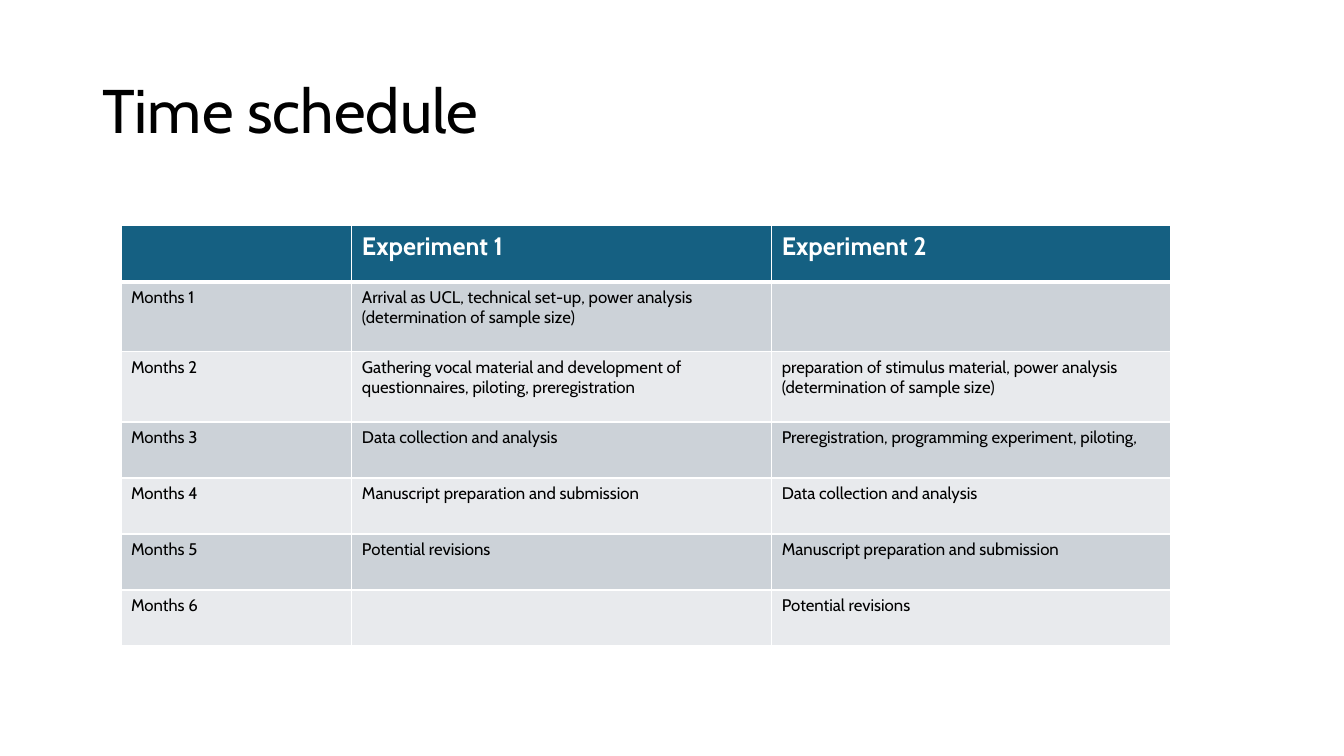
from dataclasses import dataclass

from lxml import etree
from pptx import Presentation
from pptx import util as u
from pptx.dml.color import RGBColor
from pptx.enum import text
from pptx.oxml import ns


@dataclass(frozen=True)
class Theme:
    font: str = "Cabin"
    ink: str = "000000"
    paper: str = "FFFFFF"
    header: str = "156082"
    bands: tuple = ("CCD2D8", "E8EAED")
    title_size: int = 44
    header_size: int = 18
    body_size: int = 12
    rule: int = 1
    header_rule: int = 3


THEME = Theme()
WIDTH, HEIGHT = 13.33, 7.5
TITLE_BOX = (0.92, 0.4, 11.5, 1.45)
TABLE_BOX = (1.2, 2.24, 10.41, 4.17)
COLUMN_SHARES = (0.22, 0.4, 0.38)
ROW_SHARES = (4, 5, 5, 4, 4, 4, 4)

SCHEDULE = [
    ("", "Experiment 1", "Experiment 2"),
    ("Months 1", "Arrival as UCL, technical set-up, power analysis (determination of sample size)", ""),
    ("Months 2", "Gathering vocal material and development of questionnaires, piloting, preregistration",
     "preparation of stimulus material, power analysis (determination of sample size)"),
    ("Months 3", "Data collection and analysis", "Preregistration, programming experiment, piloting,"),
    ("Months 4", "Manuscript preparation and submission", "Data collection and analysis"),
    ("Months 5", "Potential revisions", "Manuscript preparation and submission"),
    ("Months 6", "", "Potential revisions"),
]


def write(frame, words, size=THEME.body_size, color=THEME.ink, bold=False, spacing=1.0):
    para = frame.paragraphs[0]
    para.line_spacing = spacing
    para.font.size = u.Pt(size)
    if words:
        span = para.add_run()
        span.text = words
        span.font.name = THEME.font
        span.font.size = u.Pt(size)
        span.font.bold = bold
        span.font.color.rgb = RGBColor.from_string(color)


def set_borders(cell, **widths):
    """Draw the left, right, top and bottom rules; they precede the fill."""
    properties = cell._tc.get_or_add_tcPr()
    for place, side in enumerate("LRTB"):
        width = widths.get(side, THEME.rule)
        line = etree.Element(ns.qn(f"a:ln{side}"), w=str(u.Pt(width)))
        fill = etree.SubElement(line, ns.qn("a:solidFill"))
        etree.SubElement(fill, ns.qn("a:srgbClr"), val=THEME.paper)
        properties.insert(place, line)


def add_title(page, area, words):
    box = page.shapes.add_textbox(*map(u.Inches, area))
    box.text_frame.word_wrap = True
    box.text_frame.vertical_anchor = text.MSO_ANCHOR.MIDDLE
    write(box.text_frame, words, size=THEME.title_size, spacing=0.9)


def add_schedule(page, area, rows):
    left, top, width, height = map(u.Inches, area)
    table = page.shapes.add_table(len(rows), len(rows[0]), left, top, width, height).table

    # Grid
    for column, share in zip(table.columns, COLUMN_SHARES):
        column.width = int(width * share)
    for row, share in zip(table.rows, ROW_SHARES):
        row.height = int(height * share / sum(ROW_SHARES))

    # Header and banded body
    for r, entries in enumerate(rows):
        is_header = r == 0
        for c, words in enumerate(entries):
            cell = table.cell(r, c)
            shade = THEME.header if is_header else THEME.bands[(r - 1) % 2]
            cell.fill.solid()
            cell.fill.fore_color.rgb = RGBColor.from_string(shade)
            if is_header:
                set_borders(cell, B=THEME.header_rule)
                write(cell.text_frame, words, size=THEME.header_size, color=THEME.paper, bold=True)
            else:
                set_borders(cell, T=THEME.header_rule if r == 1 else THEME.rule)
                write(cell.text_frame, words)


def main():
    deck = Presentation()
    deck.slide_width, deck.slide_height = u.Inches(WIDTH), u.Inches(HEIGHT)
    page = deck.slides.add_slide(deck.slide_layouts[6])
    add_title(page, TITLE_BOX, "Time schedule")
    add_schedule(page, TABLE_BOX, SCHEDULE)
    deck.save("out.pptx")


if __name__ == "__main__":
    main()
